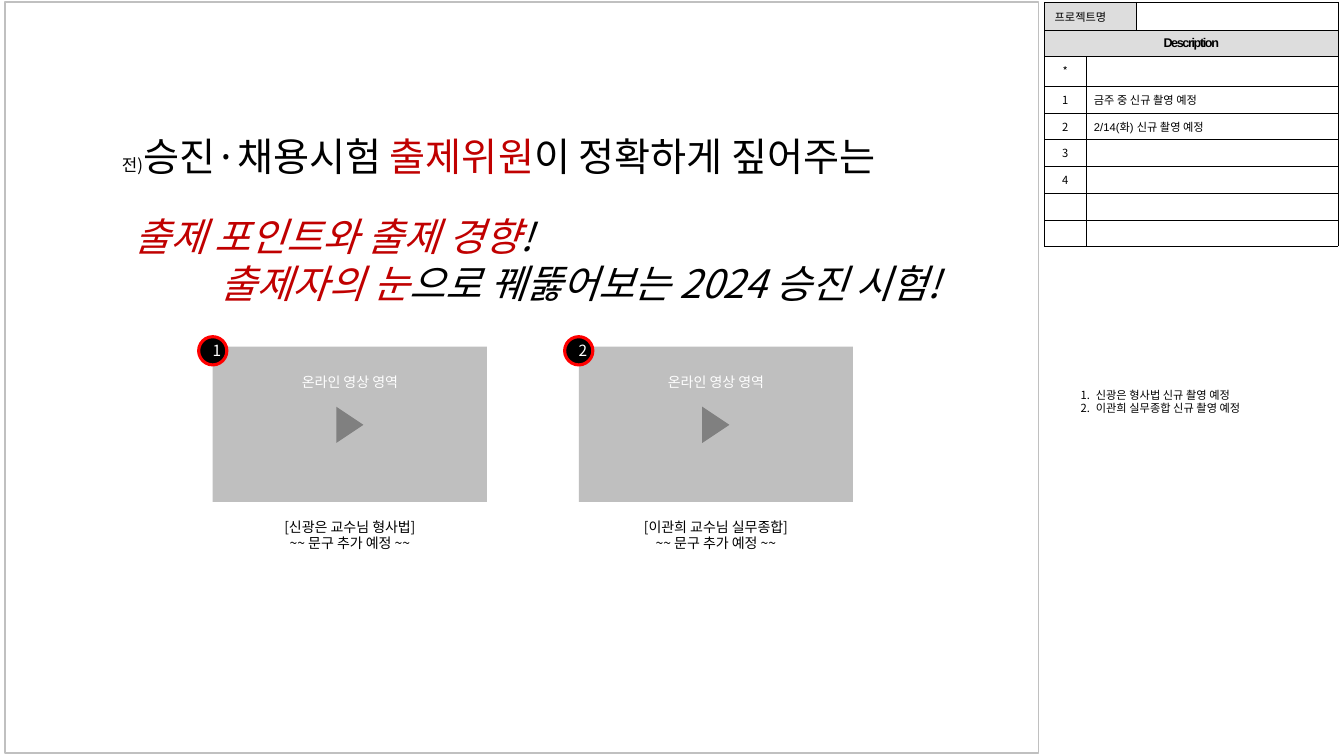
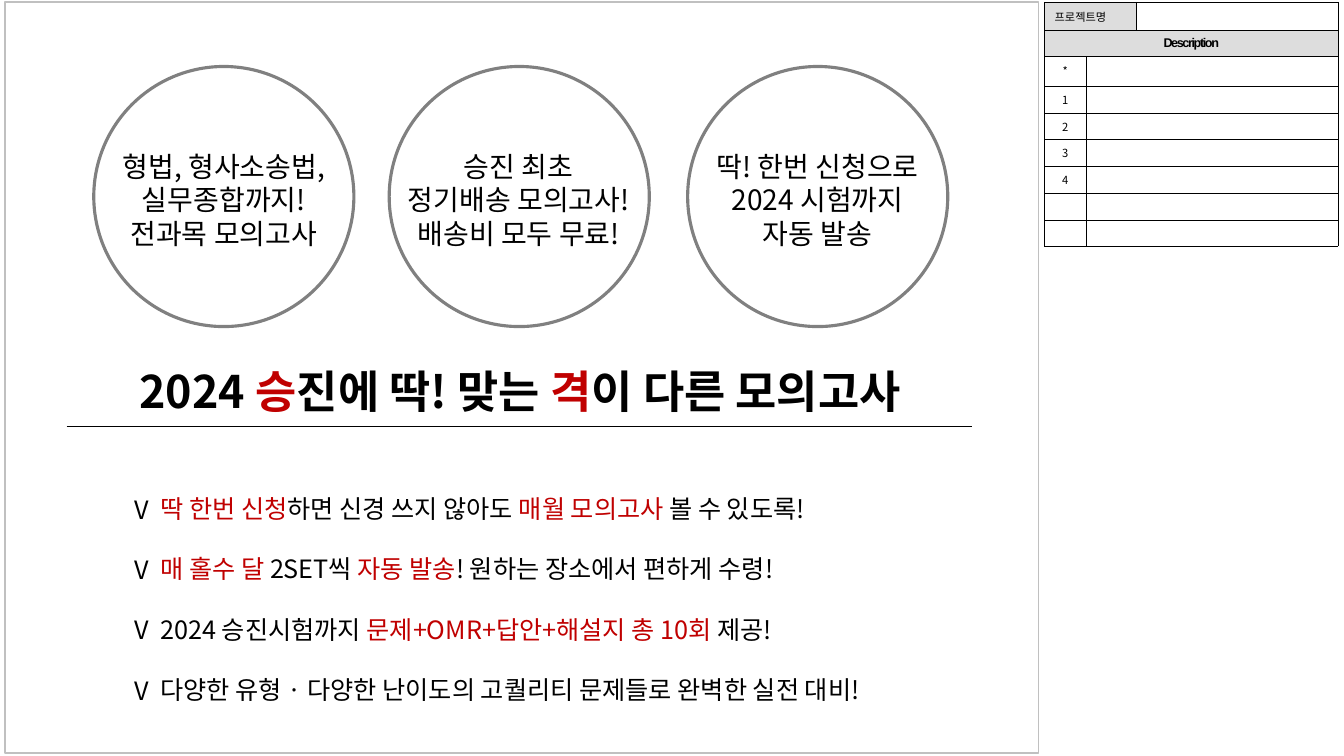
from dataclasses import dataclass

from lxml.etree import SubElement as Sub
from pptx import Presentation
from pptx.dml.color import RGBColor as Rgb
from pptx.enum.shapes import MSO_CONNECTOR as Line, MSO_SHAPE as Kind
from pptx.enum.text import MSO_ANCHOR as Anchor, MSO_AUTO_SIZE as Auto, PP_ALIGN as Align
from pptx.oxml.ns import qn
from pptx.util import Pt

PX = 9144  # 100 px to the inch


@dataclass(frozen=True)
class Theme:
    sans: str = "Noto Sans CJK KR"
    latin: str = "Arial"
    ink: str = "000000"
    paper: str = "FFFFFF"
    red: str = "C00000"
    ring: str = "FF0000"
    frame: str = "C0C0C0"
    head: str = "DDDDDD"
    video: str = "BFBFBF"
    gray: str = "808080"
    tiny: int = 8
    label: int = 9
    small: int = 10
    mark: int = 11
    note: int = 12
    body: int = 18
    large: int = 20
    lead: int = 28
    title: int = 32


T = Theme()


def px(*nums):
    return [n * PX for n in nums]


def apply(obj, **fmt):
    for key, val in fmt.items():
        setattr(obj, key, val)


def bullet(par, tag, gap, **attrs):
    props = par._p.get_or_add_pPr()
    props.set("marL", str(gap * PX))
    props.set("indent", str(-gap * PX))
    color = Sub(props, qn("a:buClr"))
    Sub(color, qn("a:srgbClr"), val=T.ink)
    Sub(props, qn("a:buFont"), typeface=T.sans)
    Sub(props, qn(tag), **attrs)


def write(frame, lines, size, color=T.ink, face=T.sans, mark=None, par_fmt=None, **font):
    """Fill a text frame; parts between bars in a line turn red."""
    for num, line in enumerate(lines):
        par = frame.paragraphs[0] if num == 0 else frame.add_paragraph()
        apply(par, **(par_fmt or {}))
        if mark:
            bullet(par, **mark)
        for pos, part in enumerate(line.split("|")):
            if not part:
                continue
            run = par.add_run()
            run.text = part
            apply(run.font, size=Pt(size), name=face, **font)
            run.font.color.rgb = Rgb.from_string(T.red if pos % 2 else color)
            Sub(run._r.get_or_add_rPr(), qn("a:ea"), typeface=T.sans)


def shape(slide, kind, box, fill=None, line=None, width=1):
    item = slide.shapes.add_shape(kind, *px(*box))
    item.shadow.inherit = False
    if fill:
        item.fill.solid()
        item.fill.fore_color.rgb = Rgb.from_string(fill)
    else:
        item.fill.background()
    if line:
        item.line.color.rgb = Rgb.from_string(line)
        item.line.width = Pt(width)
    else:
        item.line.fill.background()
    return item


def text(slide, box, lines, size, **fmt):
    frame = slide.shapes.add_textbox(*px(*box)).text_frame
    frame.word_wrap = True
    write(frame, lines, size, **fmt)


def place(holder, box):
    """Move a placeholder and return its text frame, set to the top."""
    apply(holder, **dict(zip(("left", "top", "width", "height"), px(*box))))
    apply(holder.text_frame, word_wrap=True, auto_size=Auto.NONE,
          vertical_anchor=Anchor.TOP)
    return holder.text_frame


def add_frame(deck, slide):
    """Put the page border on the master."""
    item = shape(slide, Kind.RECTANGLE, (5, 2, 1025, 745), line=T.frame)
    deck.slide_master.shapes._spTree.append(item._element)


def style_cell(cell, fill):
    props = cell._tc.get_or_add_tcPr()
    for side in ("lnL", "lnR", "lnT", "lnB"):
        edge = Sub(props, qn(f"a:{side}"), w=str(Pt(0.25)))
        Sub(Sub(edge, qn("a:solidFill")), qn("a:srgbClr"), val=T.ink)
    cell.fill.solid()
    cell.fill.fore_color.rgb = Rgb.from_string(fill)
    cell.vertical_anchor = Anchor.MIDDLE


def add_panel(slide, box, notes):
    """Description table; notes maps a row label to its text."""
    labels = ["*", "1", "2", "3", "4", "", ""]
    cols, rows = (41, 50, 200), (28, 26, 29) + (27, 26) * 3
    grid = slide.shapes.add_table(len(rows), len(cols), *px(*box)).table
    apply(grid, first_row=False, horz_banding=False)
    for col, wide in zip(grid.columns, cols):
        col.width = wide * PX
    for row, high in zip(grid.rows, rows):
        row.height = high * PX
    for num in range(len(rows)):
        for col in range(len(cols)):
            dark = num == 1 or (num == 0 and col < 2)
            style_cell(grid.cell(num, col), T.head if dark else T.paper)

    mid = {"alignment": Align.CENTER}
    grid.cell(0, 0).merge(grid.cell(0, 1))
    grid.cell(1, 0).merge(grid.cell(1, 2))
    write(grid.cell(0, 0).text_frame, ["프로젝트명"], T.tiny)
    head = grid.cell(1, 0).text_frame
    write(head, ["Description"], T.label, face=T.latin, par_fmt=mid, bold=True)
    head.paragraphs[0].runs[0].font._element.set("spc", "-100")
    for num, label in enumerate(labels, 2):
        left, right = grid.cell(num, 0), grid.cell(num, 1)
        right.merge(grid.cell(num, 2))
        for cell, pad in ((left, 4), (right, 8)):
            apply(cell, margin_left=pad * PX, margin_right=pad * PX)
        write(left.text_frame, [label], T.tiny, par_fmt=mid)
        write(right.text_frame, [notes.get(label, "")], T.tiny, face=T.latin)
    for cell in grid.iter_cells():
        par = cell.text_frame.paragraphs[0]
        if not par.runs:
            Sub(par._p, qn("a:endParaRPr"), sz=str(T.tiny * 100))


def add_video(slide, left, top, num, name):
    wide, high = 272, 154
    mid = {"alignment": Align.CENTER}
    area = shape(slide, Kind.RECTANGLE, (left, top, wide, high), T.video).text_frame
    apply(area, vertical_anchor=Anchor.TOP, margin_top=27 * PX)
    write(area, ["온라인 영상 영역"], T.small, T.paper, par_fmt=mid)
    play = shape(slide, Kind.ISOSCELES_TRIANGLE,
                 (left + wide // 2 - 18, top + high // 2 - 13, 36, 27), T.gray)
    play.rotation = 90
    text(slide, (left + 1, top + 165, 270, 44), [name, "~~ 문구 추가 예정 ~~"],
         T.small, par_fmt=mid)
    badge = shape(slide, Kind.OVAL, (left - 14, top - 10, 28, 28), T.ink, T.ring, 2.25)
    write(badge.text_frame, [str(num)], T.mark, T.paper, par_fmt=mid)


def add_circle(slide, left, top, wide, lines):
    """Ring with a centred text box of the given width."""
    size = 258
    shape(slide, Kind.OVAL, (left, top, size, size), T.paper, T.gray, 2.25)
    text(slide, (left + (size - wide) // 2, top + 77, wide, 111), lines, T.large,
         par_fmt={"alignment": Align.CENTER})


def video_slide(deck):
    slide = deck.slides.add_slide(deck.slide_layouts[5])
    add_frame(deck, slide)
    add_panel(slide, (1036, 2, 291, 242),
              {"1": "금주 중 신규 촬영 예정", "2": "2/14(화) 신규 촬영 예정"})
    head = place(slide.shapes.title, (90, 126, 918, 185))
    write(head, ["전)||승진·채용시험 |출제위원|이 정확하게 짚어주는",
                 "|출제 포인트와 출제 경향|!",
                 "|출제자의 눈|으로 꿰뚫어보는 2024 승진 시험!"],
          T.lead, par_fmt={"alignment": Align.LEFT})
    for par, pad, slant in zip(head.paragraphs, (21, 33, 119), (False, True, True)):
        par._p.get_or_add_pPr().set("marL", str(pad * PX))
        for run in par.runs:
            run.font.italic = slant
    head.paragraphs[0].runs[0].font.size = Pt(T.note)
    head.paragraphs[1].space_before = Pt(24)
    names = ("[신광은 교수님 형사법]", "[이관희 교수님 실무종합]")
    for num, name in enumerate(names):
        add_video(slide, 211 + 363 * num, 344, num + 1, name)
    text(slide, (1062, 380, 271, 37),
         ["신광은 형사법 신규 촬영 예정", "이관희 실무종합 신규 촬영 예정"], T.tiny,
         mark={"tag": "a:buAutoNum", "gap": 15, "type": "arabicPeriod"})


def exam_slide(deck):
    slide = deck.slides.add_slide(deck.slide_layouts[1])
    add_panel(slide, (1036, 2, 291, 242), {})
    write(place(slide.shapes.title, (53, 356, 926, 64)),
          ["2024 |승|진에 딱! 맞는 |격|이 다른 모의고사"], T.title, bold=True,
          par_fmt={"alignment": Align.CENTER})
    rule = slide.shapes.add_connector(Line.STRAIGHT, *px(66, 423, 964, 423))
    rule.line.color.rgb = Rgb.from_string(T.ink)
    rule.line.width = Pt(0.5)
    Sub(rule._element.spPr, qn("a:effectLst"))
    write(place(slide.placeholders[1], (123, 454, 787, 252)),
          ["|딱 한번 신청|하면 신경 쓰지 않아도 |매월 모의고사| 볼 수 있도록!",
           "|매 홀수 달 |2SET씩 |자동 발송|! 원하는 장소에서 편하게 수령!",
           "2024 승진시험까지 |문제+OMR+답안+해설지 총 10회 |제공!",
           "다양한 유형 · 다양한 난이도의 고퀄리티 문제들로 완벽한 실전 대비!"],
          T.body, mark={"tag": "a:buChar", "gap": 26, "char": "V"},
          par_fmt={"line_spacing": 2.0, "space_before": Pt(0)})
    rings = ((93, 234, ["형법, 형사소송법,", "실무종합까지!", "전과목 모의고사"]),
             (386, 257, ["승진 최초", "정기배송 모의고사!", "배송비 모두 무료!"]),
             (682, 222, ["딱! 한번 신청으로", "2024 시험까지", "자동 발송"]))
    for left, wide, lines in rings:
        add_circle(slide, left, 66, wide, lines)


def main():
    deck = Presentation()
    apply(deck, slide_width=1333 * PX, slide_height=750 * PX)
    video_slide(deck)
    exam_slide(deck)
    deck.save("out.pptx")


if __name__ == "__main__":
    main()
